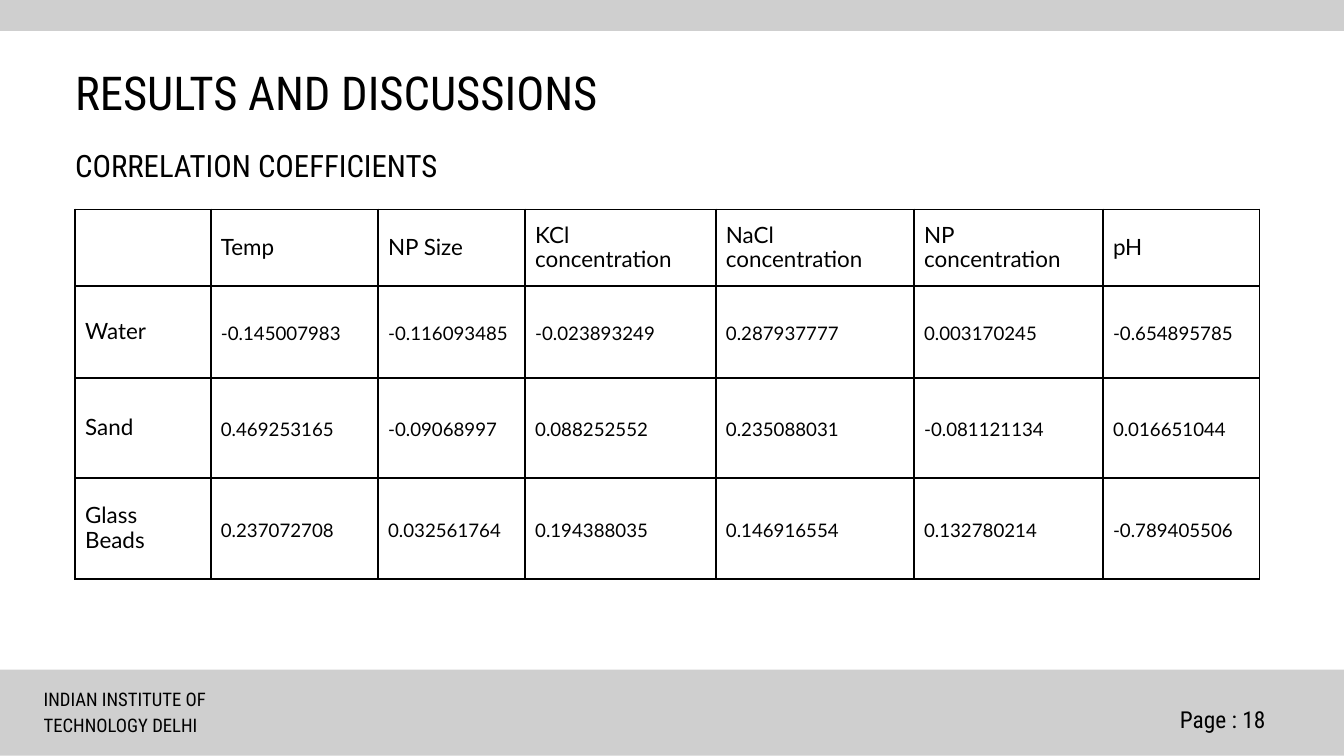
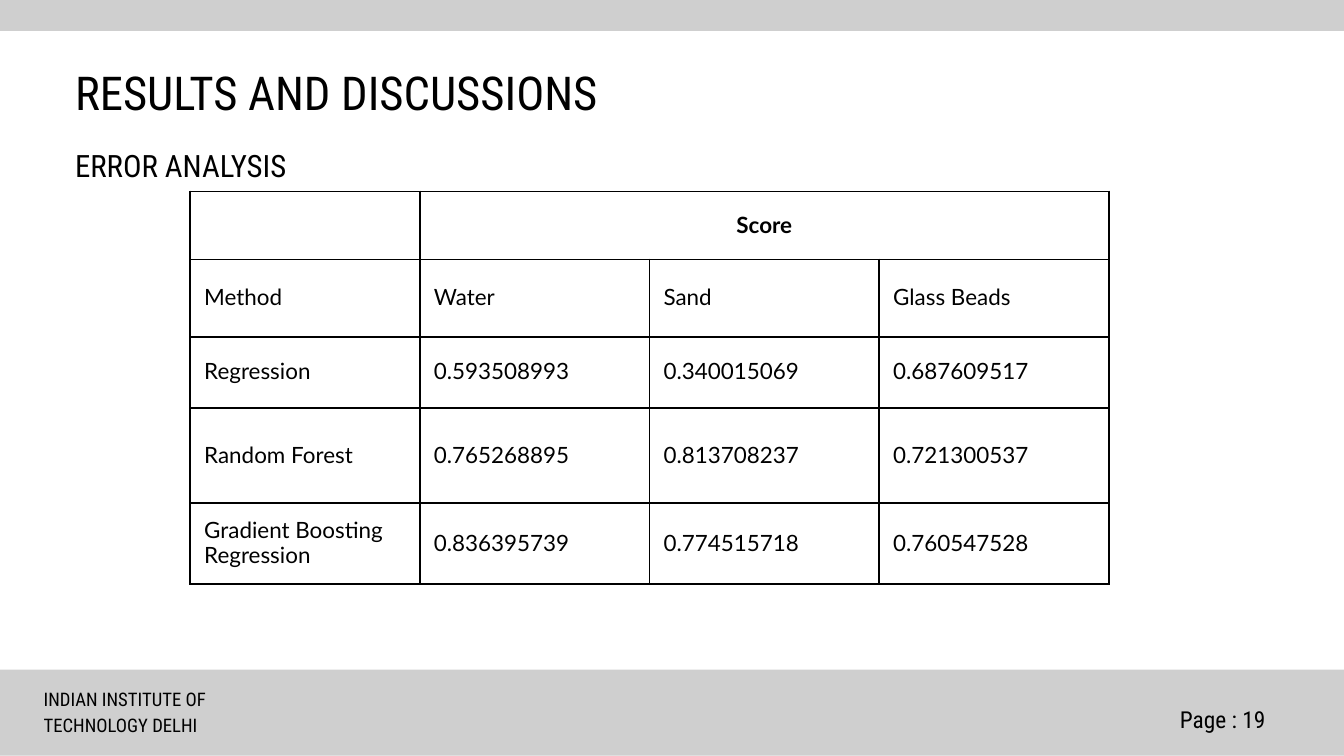
import lxml.etree
import pptx
import pptx.dml.color
import pptx.enum.shapes
import pptx.enum.text
import pptx.oxml
import pptx.oxml.ns
import pptx.util
from pptx.util import Cm

COLORS = {"band": "CFCFCF", "text": "000000", "border": "000000"}
HEADING_FONT = "Roboto Condensed"
TABLE_FONT = "Lato"
BORDER_WIDTH = pptx.util.Pt(2.25)
LEFT = pptx.enum.text.PP_ALIGN.LEFT
CENTER = pptx.enum.text.PP_ALIGN.CENTER
BANDS = [(25.32, 3.25), (-2.21, 3.38)]  # top, height

SLIDES = [
    {
        "subtitle": "CORRELATION COEFFICIENTS",
        "page": 18,
        "left": 2.84,
        "top": 7.92,
        "margin": 0.38,
        "value_size": 20,
        "columns": [5.13, 6.32, 5.56, 7.21, 7.49, 7.14, 5.92],
        "heights": [2.9, 3.48, 3.78, 3.81],
        "rows": [
            ["", "Temp", "NP Size", "KCl concentration", "NaCl concentration",
             "NP concentration", "pH"],
            ["Water", "-0.145007983", "-0.116093485", "-0.023893249",
             "0.287937777", "0.003170245", "-0.654895785"],
            ["Sand", "0.469253165", "-0.09068997", "0.088252552",
             "0.235088031", "-0.081121134", "0.016651044"],
            ["Glass Beads", "0.237072708", "0.032561764", "0.194388035",
             "0.146916554", "0.132780214", "-0.789405506"],
        ],
    },
    {
        "subtitle": "ERROR ANALYSIS",
        "page": 19,
        "left": 7.19,
        "top": 7.24,
        "margin": 0.53,
        "value_size": 24,
        "columns": [8.68] * 4,
        "heights": [2.57, 2.92, 2.69, 3.61, 3.05],
        "rows": [
            ["", "Score", "", ""],
            ["Method", "Water", "Sand", "Glass Beads"],
            ["Regression", "0.593508993", "0.340015069", "0.687609517"],
            ["Random Forest", "0.765268895", "0.813708237", "0.721300537"],
            ["Gradient Boosting Regression", "0.836395739", "0.774515718",
             "0.760547528"],
        ],
    },
]


def write_lines(frame, lines, font, size, spacing, alignment=LEFT, bold=False):
    """Write one paragraph per line; size and spacing are in points."""
    for index, line in enumerate(lines):
        paragraph = frame.add_paragraph() if index else frame.paragraphs[0]
        paragraph.alignment = alignment
        paragraph.line_spacing = pptx.util.Pt(spacing)
        paragraph.space_before = pptx.util.Pt(0)
        run = paragraph.add_run()
        run.text = line
        run.font.name = font
        run.font.size = pptx.util.Pt(size)
        run.font.bold = bold
        run.font.color.rgb = pptx.dml.color.RGBColor.from_string(COLORS["text"])


def draw_borders(cell):
    properties = cell._tc.get_or_add_tcPr()
    for position, side in enumerate(["lnL", "lnR", "lnT", "lnB"]):
        line = pptx.oxml.parse_xml(
            f'<a:{side} {pptx.oxml.ns.nsdecls("a")} w="{BORDER_WIDTH}"><a:solidFill>'
            f'<a:srgbClr val="{COLORS["border"]}"/></a:solidFill></a:{side}>'
        )
        properties.insert(position, line)


presentation = pptx.Presentation()
presentation.slide_width = Cm(50.8)
presentation.slide_height = Cm(28.58)

for content in SLIDES:
    slide = presentation.slides.add_slide(presentation.slide_layouts[1])
    title, subtitle = slide.placeholders

    for top, height in BANDS:
        band = slide.shapes.add_shape(
            pptx.enum.shapes.MSO_SHAPE.RECTANGLE, Cm(-0.97), Cm(top), Cm(51.77), Cm(height)
        )
        band.shadow.inherit = False
        band.fill.solid()
        band.fill.fore_color.rgb = pptx.dml.color.RGBColor.from_string(COLORS["band"])
        band.line.fill.background()

    # Table
    rows = content["rows"]
    table = slide.shapes.add_table(
        len(rows), len(rows[0]), Cm(content["left"]), Cm(content["top"]),
        Cm(sum(content["columns"])), Cm(sum(content["heights"]))
    ).table
    table.first_row = False
    table.horz_banding = False
    for column, width in zip(table.columns, content["columns"]):
        column.width = Cm(width)
    for row, height in zip(table.rows, content["heights"]):
        row.height = Cm(height)
    for row_index, row in enumerate(rows):
        for column_index, text in enumerate(row):
            cell = table.cell(row_index, column_index)
            cell.fill.background()
            cell.vertical_anchor = pptx.enum.text.MSO_ANCHOR.MIDDLE
            cell.margin_left = cell.margin_right = Cm(content["margin"])
            cell.margin_top = cell.margin_bottom = Cm(content["margin"])
            draw_borders(cell)
            if text:
                is_value = row_index > 0 and column_index > 0 and "." in text
                is_score = text == "Score"
                write_lines(
                    cell.text_frame, [text], TABLE_FONT,
                    content["value_size"] if is_value else 24, 26.6,
                    CENTER if is_score else LEFT, is_score
                )
                if is_score:
                    cell.merge(table.cell(row_index, len(row) - 1))

    # Headings and footer
    page = slide.shapes.add_textbox(0, 0, 0, 0)
    institute = slide.shapes.add_textbox(0, 0, 0, 0)
    text_blocks = [
        (title, (2.84, 2.06, 37.11, 2.39), ["RESULTS AND DISCUSSIONS"], 50),
        (subtitle, (2.84, 5.31, 37.11, 1.57), [content["subtitle"]], 33),
        (page, (44.6, 26.49, 6.2, 1.19), [f"Page : {content['page']}"], 25),
        (institute, (1.65, 25.86, 6.76, 1.96),
         ["INDIAN INSTITUTE OF", "TECHNOLOGY DELHI"], 20),
    ]
    for shape, box, lines, size in text_blocks:
        shape.left, shape.top, shape.width, shape.height = map(Cm, box)
        frame = shape.text_frame
        frame.word_wrap = True
        frame.auto_size = pptx.enum.text.MSO_AUTO_SIZE.NONE
        frame.vertical_anchor = pptx.enum.text.MSO_ANCHOR.TOP
        frame.margin_left = frame.margin_right = 0
        frame.margin_top = frame.margin_bottom = 0
        write_lines(frame, lines, HEADING_FONT, size, 1.4 * size)

    subtitle_properties = subtitle.text_frame.paragraphs[0]._p.get_or_add_pPr()
    subtitle_properties.set("marL", "0")
    subtitle_properties.set("indent", "0")
    lxml.etree.SubElement(subtitle_properties, pptx.oxml.ns.qn("a:buNone"))

presentation.save("out.pptx")
